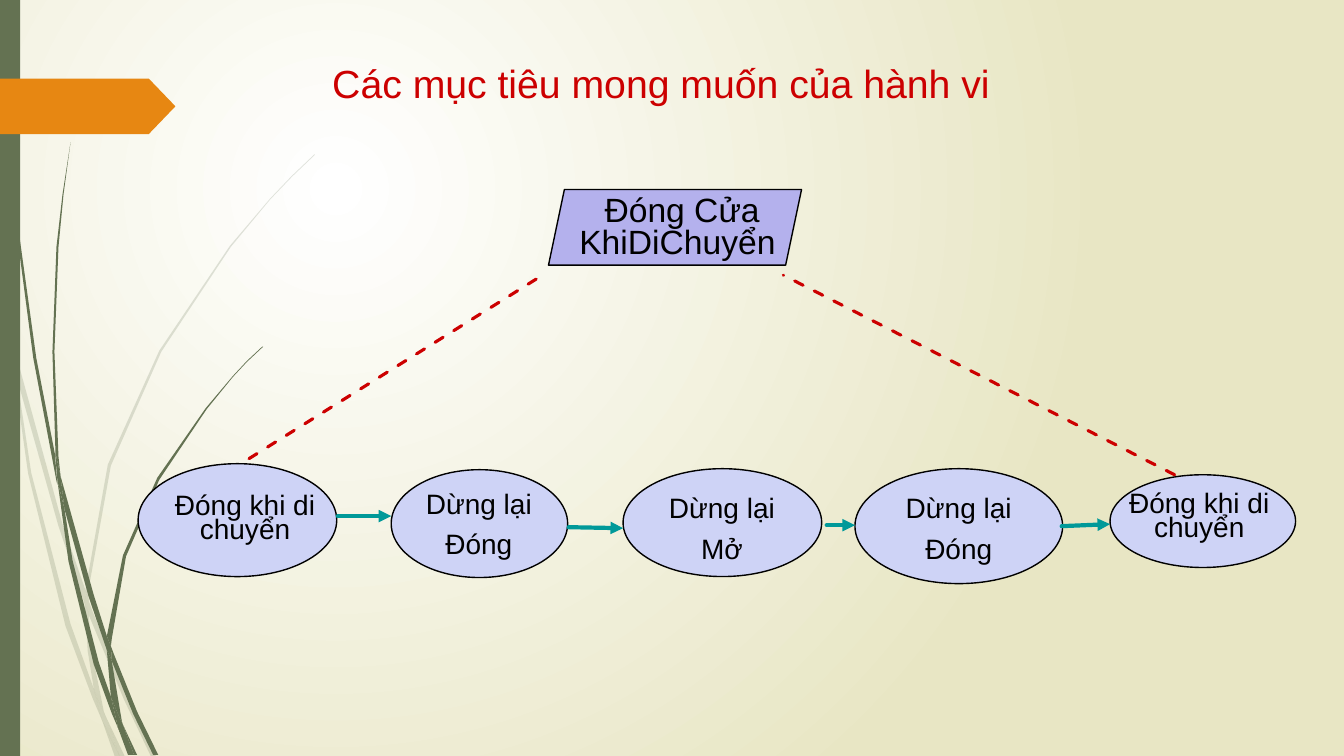
"""Build the slide that shows the desired goals of a door's behaviour."""
from dataclasses import dataclass

from lxml.etree import SubElement
from pptx import Presentation
from pptx.dml.color import RGBColor
from pptx.enum.dml import MSO_LINE_DASH_STYLE as Dash
from pptx.enum.shapes import MSO_CONNECTOR as Connector, MSO_SHAPE as Preset
from pptx.enum.text import MSO_ANCHOR as Anchor, MSO_AUTO_SIZE as AutoSize, PP_ALIGN as Align
from pptx.oxml.ns import qn
from pptx.shapes.autoshape import Shape
from pptx.slide import Slide
from pptx.text.text import TextFrame
from pptx.util import Inches, Pt

Point = tuple[float, float]
Box = tuple[float, float, float, float]
Outline = tuple[Point, ...]


@dataclass(frozen=True)
class Theme:
    """Colours, font and type sizes of the slide."""
    font: str = "Arial"
    title_size: float = 28
    goal_size: float = 24
    state_size: float = 20
    ink: str = "000000"
    red: str = "CC0000"
    teal: str = "009999"
    goal_fill: str = "B4B1ED"
    state_fill: str = "CED3F6"
    leaf: str = "647252"
    tab: str = "E78712"
    glow: str = "FFFFFF"
    sand: str = "E8E6C4"


@dataclass(frozen=True)
class Node:
    """An outlined shape with its label lines, each with a line spacing."""
    preset: Preset
    outline: Box
    label: Box
    lines: tuple[tuple[str, float], ...]
    fill: str
    size: float
    slant: float | None = None


@dataclass(frozen=True)
class Link:
    """A straight line between two points."""
    start: Point
    end: Point
    color: str
    width: float
    dashed: bool = False


THEME = Theme()
TITLE = "Các mục tiêu mong muốn của hành vi"

PALE_GRASS: tuple[Outline, ...] = (
    ((.11, 3.5), (.09, 3.22), (0, 2.82), (0, 2.99), (.1, 3.44)),
    ((.58, 5.22), (.84, 5.99), (.85, 5.86), (.62, 5.2), (.14, 3.45), (.17, 3.76)),
    ((.92, 6.07), (.88, 5.96), (.88, 6.1), (1.23, 6.94), (1.5, 7.51), (1.55, 7.51), (1.27, 6.92)),
    ((1.19, 7.51), (1.24, 7.51), (1.05, 7.11)),
    ((.93, 6.83), (.7, 6.19), (.31, 4.69), (.17, 3.76), (.11, 3.5), (.28, 4.7), (.65, 6.21),
     (.92, 6.93), (1.01, 7.14), (.99, 7.07)),
    ((.84, 5.99), (.87, 6.46), (.93, 6.83), (.96, 6.92), (1.05, 7.11), (1.03, 7.06), (.91, 6.46),
     (.88, 6.1), (.88, 6.08)),
    ((.88, 5.84), (1.1, 4.62), (1.6, 3.49), (2.29, 2.45), (2.68, 1.98), (2.9, 1.75), (3.12, 1.54),
     (3.12, 1.53), (2.89, 1.75), (2.68, 1.97), (2.28, 2.44), (1.58, 3.48), (1.07, 4.61),
     (.85, 5.84), (.85, 5.86), (.88, 5.96)),
    ((1.01, 7.14), (1.14, 7.51), (1.19, 7.51)),
    ((.88, 6.08), (.88, 6.1), (.88, 5.96), (.85, 5.86), (.84, 5.99)),
    ((.96, 6.92), (.93, 6.83), (.99, 7.07), (1.01, 7.14), (1.19, 7.51), (1.05, 7.11)),
)
DARK_GRASS: tuple[Outline, ...] = (
    ((.07, 1.1), (.17, 2.33), (.33, 3.55), (.56, 4.77), (.57, 4.81), (.55, 4.57), (.55, 4.53),
     (.36, 3.55), (.19, 2.32), (.08, 1.09), (.05, .48), (.04, 0), (.03, 0), (.04, .48)),
    ((.88, 5.92), (1.06, 6.45), (1.06, 6.33), (1.06, 6.31), (.93, 5.9), (.6, 4.72), (.64, 5.05)),
    ((1.13, 6.49), (1.1, 6.41), (1.11, 6.56), (1.32, 7.08), (1.52, 7.49), (1.57, 7.49),
     (1.36, 7.06)),
    ((1.1, 6.91), (.98, 6.57), (.72, 5.56), (.64, 5.05), (.57, 4.77), (.68, 5.57), (.93, 6.59),
     (1.11, 7.08), (1.17, 7.22), (1.16, 7.17)),
    ((.6, 4.72), (.58, 4.53), (.54, 3.49), (.58, 2.45), (.63, 1.93), (.7, 1.41), (.62, 1.93),
     (.56, 2.45), (.52, 3.49), (.55, 4.49)),
    ((1.33, 7.49), (1.36, 7.49), (1.22, 7.19)),
    ((.57, 4.77), (.64, 5.05), (.6, 4.72), (.55, 4.49), (.55, 4.53)),
    ((1.11, 6.33), (1.25, 5.52), (1.58, 4.76), (2.05, 4.06), (2.31, 3.74), (2.45, 3.59),
     (2.61, 3.44), (2.6, 3.44), (2.45, 3.58), (2.31, 3.73), (2.04, 4.05), (1.56, 4.74),
     (1.22, 5.51), (1.06, 6.31), (1.1, 6.41)),
    ((1.17, 7.22), (1.27, 7.49), (1.31, 7.49)),
    ((1.06, 6.45), (1.1, 6.91), (1.16, 7.06), (1.22, 7.19), (1.21, 7.16), (1.11, 6.56),
     (1.09, 6.51)),
    ((1.06, 6.45), (1.09, 6.51), (1.11, 6.56), (1.1, 6.41), (1.06, 6.31), (1.06, 6.33)),
    ((1.16, 7.06), (1.1, 6.91), (1.16, 7.17), (1.17, 7.22), (1.3, 7.49), (1.33, 7.49),
     (1.22, 7.19)),
)


def state(outline: Box, label: Box, *words: str) -> Node:
    """Describe one state ellipse."""
    lines = tuple((text, .7) for text in words)
    return Node(Preset.OVAL, outline, label, lines, THEME.state_fill, THEME.state_size)


NODES = (
    Node(Preset.PARALLELOGRAM, (5.44, 1.88, 2.51, .75), (5.62, 1.93, 2.29, .72),
         (("Đóng Cửa", .7), ("KhiDiChuyển ", .3)), THEME.goal_fill, THEME.goal_size, .21),
    state((1.37, 4.6, 1.97, 1.12), (1.54, 4.88, 1.78, .58), "Đóng khi di chuyển"),
    state((3.88, 4.66, 1.75, 1.07), (3.7, 4.87, 2.1, .75), "Dừng lại", "Đóng"),
    state((11.01, 4.71, 1.84, .92), (11.08, 4.86, 1.63, .58), "Đóng khi di chuyển"),
    state((8.48, 4.65, 2.06, 1.14), (8.48, 4.91, 2.06, .75), "Dừng lại", "Đóng"),
    state((6.18, 4.65, 1.97, 1.07), (6.3, 4.91, 1.72, .75), "Dừng lại", "Mở"),
)
LINKS = (
    Link((3.35, 5.12), (3.88, 5.12), THEME.teal, 3),
    Link((5.64, 5.23), (6.18, 5.24), THEME.teal, 3),
    Link((8.2, 5.21), (8.48, 5.21), THEME.teal, 3),
    Link((10.53, 5.22), (11.01, 5.2), THEME.teal, 3),
    Link((2.47, 4.55), (5.38, 2.73), THEME.red, 2.25, True),
    Link((11.65, 4.71), (7.77, 2.73), THEME.red, 2.25, True),
)


def rgb(color: str) -> RGBColor:
    """Turn a hex string into a colour."""
    return RGBColor.from_string(color)


def paint_background(slide: Slide) -> None:
    """Fill the background with a radial glow."""
    fill = slide.background.fill
    fill.gradient()
    for stop, color in zip(fill.gradient_stops, (THEME.glow, THEME.sand)):
        stop.color.rgb = rgb(color)
    gradient = slide.element.find(".//" + qn("a:gradFill"))
    gradient.remove(gradient.find(qn("a:lin")))
    circle = SubElement(gradient, qn("a:path"), path="circle")
    SubElement(circle, qn("a:fillToRect"), l="50000", t="50000", r="100000", b="100000")


def style_shape(shape: Shape, fill: str, line: str | None = None) -> None:
    """Give a shape a flat fill and an optional thin outline."""
    shape.shadow.inherit = False
    shape.fill.solid()
    shape.fill.fore_color.rgb = rgb(fill)
    if line is None:
        shape.line.fill.background()
    else:
        shape.line.color.rgb = rgb(line)
        shape.line.width = Pt(1)


def add_preset(slide: Slide, preset: Preset, box: Box, fill: str, line: str | None = None,
               adjustment: float | None = None) -> None:
    """Add a styled preset shape."""
    shape = slide.shapes.add_shape(preset, *map(Inches, box))
    style_shape(shape, fill, line)
    if adjustment is not None:
        shape.adjustments[0] = adjustment


def add_grass(slide: Slide, outlines: tuple[Outline, ...], opacity: int) -> None:
    """Draw the pieces of one tuft of grass."""
    for outline in outlines:
        points = [(Inches(x), Inches(y)) for x, y in outline]
        builder = slide.shapes.build_freeform(*points[0])
        builder.add_line_segments(points[1:], close=True)
        piece = builder.convert_to_shape()
        style_shape(piece, THEME.leaf)
        if opacity < 100:
            color = piece.element.spPr.find(qn("a:solidFill")).find(qn("a:srgbClr"))
            SubElement(color, qn("a:alpha"), val=str(opacity * 1000))


def write_lines(frame: TextFrame, lines: tuple[tuple[str, float], ...],
                size: float, color: str) -> None:
    """Write centred paragraphs with their line spacings."""
    frame.word_wrap = True
    for index, (text, spacing) in enumerate(lines):
        paragraph = frame.add_paragraph() if index else frame.paragraphs[0]
        paragraph.alignment, paragraph.line_spacing = Align.CENTER, spacing
        paragraph.space_before = Pt(12 if index else 0)
        run = paragraph.add_run()
        run.text = text
        run.font.name, run.font.size = THEME.font, Pt(size)
        run.font.color.rgb = rgb(color)


def add_title(slide: Slide) -> None:
    """Place and format the title placeholder."""
    title = slide.shapes.title
    title.left, title.top, title.width, title.height = map(Inches, (1.9, .23, 9.31, 1.13))
    title.text_frame.vertical_anchor = Anchor.MIDDLE
    title.text_frame.auto_size = AutoSize.NONE
    write_lines(title.text_frame, ((TITLE, 1.1),), THEME.title_size, THEME.red)


def add_node(slide: Slide, node: Node) -> None:
    """Draw a node and its label."""
    add_preset(slide, node.preset, node.outline, node.fill, THEME.ink, node.slant)
    label = slide.shapes.add_textbox(*map(Inches, node.label))
    label.text_frame.auto_size = AutoSize.SHAPE_TO_FIT_TEXT
    write_lines(label.text_frame, node.lines, node.size, THEME.ink)


def add_link(slide: Slide, link: Link) -> None:
    """Draw a dashed line or a solid arrow."""
    ends = map(Inches, (*link.start, *link.end))
    connector = slide.shapes.add_connector(Connector.STRAIGHT, *ends)
    connector.line.color.rgb, connector.line.width = rgb(link.color), Pt(link.width)
    stroke = connector.element.spPr.find(qn("a:ln"))
    stroke.set("cap", "rnd")
    if link.dashed:
        connector.line.dash_style = Dash.DASH
    else:
        SubElement(stroke, qn("a:tailEnd"), type="triangle")
    SubElement(connector.element.spPr, qn("a:effectLst"))


def main() -> None:
    """Build and save the slide."""
    deck = Presentation()
    deck.slide_width, deck.slide_height = Inches(13.33), Inches(7.5)
    slide = deck.slides.add_slide(deck.slide_layouts[5])
    paint_background(slide)
    add_grass(slide, PALE_GRASS, 20)
    add_grass(slide, DARK_GRASS, 100)
    add_preset(slide, Preset.RECTANGLE, (0, 0, .2, 7.5), THEME.leaf)
    add_preset(slide, Preset.PENTAGON, (0, .78, 1.74, .55), THEME.tab, adjustment=.48)
    add_title(slide)
    for node in NODES:
        add_node(slide, node)
    for link in LINKS:
        add_link(slide, link)
    deck.save("out.pptx")


if __name__ == "__main__":
    main()
